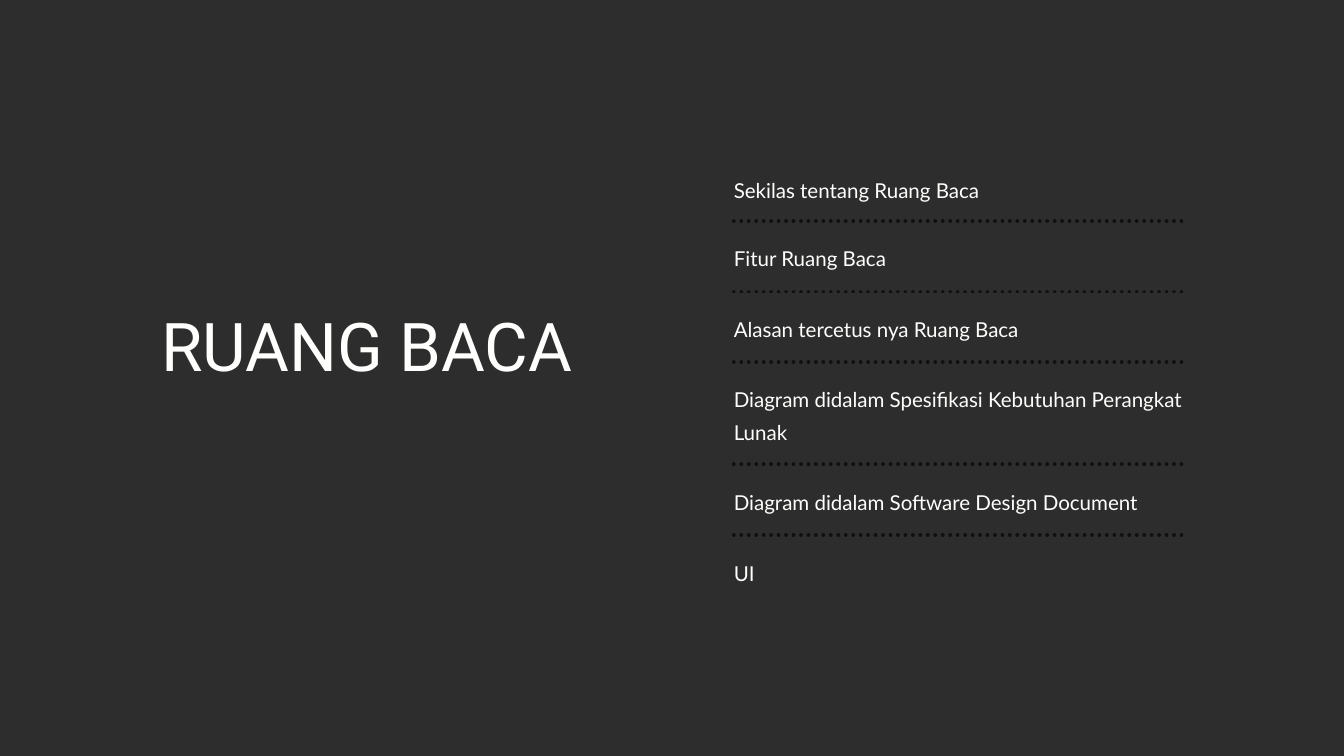
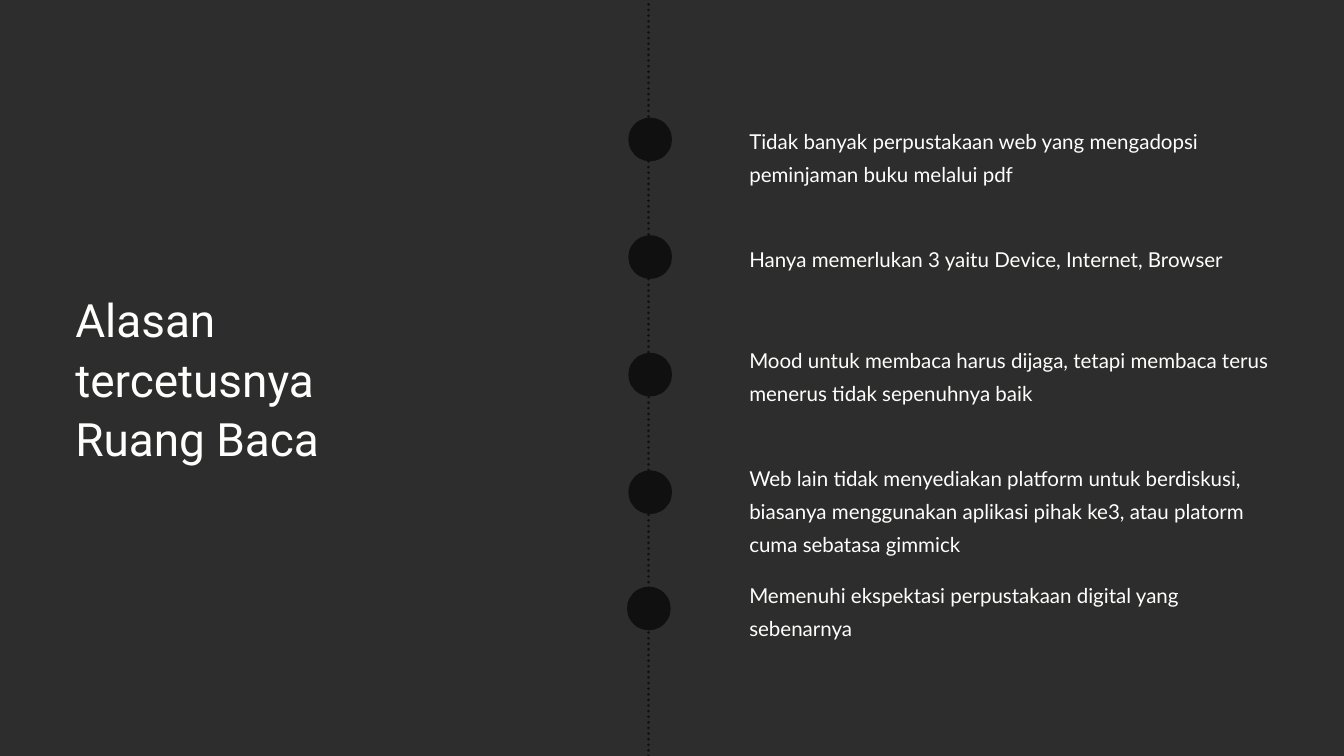
"""Build two dark slides: an agenda and a dotted timeline of reasons."""
import dataclasses

import pptx
import pptx.dml.color
import pptx.enum.dml
import pptx.enum.shapes
import pptx.enum.text
import pptx.oxml.ns
import pptx.util
from lxml import etree


@dataclasses.dataclass(frozen=True)
class Theme:
    """Colours, fonts, type sizes in points and the slide grid."""
    background: str = "2E2D2D"
    accent: str = "101010"
    text: str = "FEFFFD"
    title_font: str = "Roboto"
    body_font: str = "Lato"
    cover_size: float = 72
    title_size: float = 49.2
    body_size: float = 22
    cover_leading: float = 86.4
    title_leading: float = 64
    body_leading: float = 35.2
    width: float = 20
    height: float = 11.25
    columns: float = 20
    rows: float = 11.25


def color(value):
    """Turn a hex string into a colour."""
    return pptx.dml.color.RGBColor.from_string(value)


def write_text(frame, paragraphs, *, font, size, leading, fill, gaps=()):
    """Fill a text frame with plain left-aligned paragraphs, gaps in points between them."""
    frame.word_wrap = True
    frame.auto_size = pptx.enum.text.MSO_AUTO_SIZE.NONE
    frame.vertical_anchor = pptx.enum.text.MSO_ANCHOR.TOP
    frame.margin_left = frame.margin_right = frame.margin_top = frame.margin_bottom = 0
    for index, text in enumerate(paragraphs):
        paragraph = frame.add_paragraph() if index else frame.paragraphs[0]
        properties = paragraph._p.get_or_add_pPr()
        properties.set("marL", "0")
        properties.set("indent", "0")
        etree.SubElement(properties, pptx.oxml.ns.qn("a:buNone"))
        paragraph.alignment = pptx.enum.text.PP_ALIGN.LEFT
        paragraph.line_spacing = pptx.util.Pt(leading)
        paragraph.space_before = pptx.util.Pt(gaps[index - 1] if index and gaps else 0)
        run = paragraph.add_run()
        run.text = text
        run.font.name = font
        run.font.size = pptx.util.Pt(size)
        run.font.color.rgb = color(fill)


class Deck:
    """Holds the theme, the presentation and the slide being drawn."""

    def __init__(self, theme):
        """Open a presentation with the theme's size and background."""
        self.theme = theme
        self.slide = None
        self.presentation = pptx.Presentation()
        self.presentation.slide_width = pptx.util.Inches(theme.width)
        self.presentation.slide_height = pptx.util.Inches(theme.height)
        fill = self.presentation.slide_master.background.fill
        fill.solid()
        fill.fore_color.rgb = color(theme.background)

    def x(self, columns):
        """Convert grid columns to a length."""
        return round(self.presentation.slide_width * columns / self.theme.columns)

    def y(self, rows):
        """Convert grid rows to a length."""
        return round(self.presentation.slide_height * rows / self.theme.rows)

    def box(self, left, top, width, height):
        """Convert a grid rectangle to lengths."""
        return self.x(left), self.y(top), self.x(width), self.y(height)

    def add_slide(self, layout_name):
        """Start a slide on the named layout."""
        layout = self.presentation.slide_layouts.get_by_name(layout_name)
        self.slide = self.presentation.slides.add_slide(layout)

    def place(self, shape, area):
        """Move a shape to a grid rectangle."""
        shape.left, shape.top, shape.width, shape.height = self.box(*area)

    def title(self, text, area, size, leading):
        """Write the slide title."""
        shape = self.slide.shapes.title
        self.place(shape, area)
        write_text(shape.text_frame, [text], font=self.theme.title_font,
                   size=size, leading=leading, fill=self.theme.text)

    def write_body(self, frame, paragraphs, gaps=()):
        """Write paragraphs in the body style."""
        write_text(frame, paragraphs, font=self.theme.body_font, size=self.theme.body_size,
                   leading=self.theme.body_leading, fill=self.theme.text, gaps=gaps)

    def body(self, paragraphs, area, gaps):
        """Write a list in the body placeholder."""
        shape = self.slide.placeholders[1]
        self.place(shape, area)
        self.write_body(shape.text_frame, paragraphs, gaps)

    def note(self, text, area):
        """Add a text box in the body style."""
        self.write_body(self.slide.shapes.add_textbox(*self.box(*area)).text_frame, [text])

    def dotted_line(self, start, end, weight):
        """Draw a dotted line between two grid points."""
        connector = self.slide.shapes.add_connector(
            pptx.enum.shapes.MSO_CONNECTOR.STRAIGHT,
            self.x(start[0]), self.y(start[1]), self.x(end[0]), self.y(end[1]))
        connector.line.width = pptx.util.Pt(weight)
        connector.line.color.rgb = color(self.theme.accent)
        connector.line.dash_style = pptx.enum.dml.MSO_LINE.ROUND_DOT
        connector.line._get_or_add_ln().set("cap", "rnd")
        etree.SubElement(connector._element.spPr, pptx.oxml.ns.qn("a:effectLst"))

    def dot(self, left, top, size):
        """Draw a filled circle."""
        shape = self.slide.shapes.add_shape(
            pptx.enum.shapes.MSO_SHAPE.OVAL, *self.box(left, top, size, size))
        shape.shadow.inherit = False
        shape.fill.solid()
        shape.fill.fore_color.rgb = color(self.theme.accent)
        shape.line.fill.background()


def agenda_slide(deck):
    """Draw the agenda with a dotted rule between topics."""
    left, width, pitch, extra_line = 10.92, 6.68, 1.05, 0.47
    topics = ["Sekilas tentang Ruang Baca", "Fitur Ruang Baca", "Alasan tercetus nya Ruang Baca",
              "Diagram didalam Spesifikasi Kebutuhan Perangkat Lunak",
              "Diagram didalam Software Design Document", "UI"]
    two_line_topic = 3
    deck.add_slide("Title and Content")
    for index in range(len(topics) - 1):
        top = 3.29 + index * pitch + (extra_line if index >= two_line_topic else 0)
        deck.dotted_line((left, top), (left + width, top), 4)
    deck.body(topics, (left, 2.53, width, 6.12), gaps=[37.5, 40.4, 40.4, 39.8, 40.4])
    deck.title("RUANG BACA", (2.4, 4.53, 6.86, 1.21),
               deck.theme.cover_size, deck.theme.cover_leading)


def reasons_slide(deck):
    """Draw the timeline of reasons."""
    pitch, dot_size = 1.75, 0.65
    reasons = [
        (1.8, 2, "Tidak banyak perpustakaan web yang mengadopsi peminjaman buku melalui pdf"),
        (3.55, 1, "Hanya memerlukan 3 yaitu Device, Internet, Browser"),
        (5.06, 2, "Mood untuk membaca harus dijaga, tetapi membaca terus menerus tidak "
                  "sepenuhnya baik"),
        (6.81, 3, "Web lain tidak menyediakan platform untuk berdiskusi, biasanya menggunakan "
                  "aplikasi pihak ke3, atau platorm cuma sebatasa gimmick"),
        (8.56, 2, "Memenuhi ekspektasi perpustakaan digital yang sebenarnya"),
    ]
    deck.add_slide("Title Only")
    deck.dotted_line((9.65, deck.theme.rows), (9.65, 0), 3)
    for index, (top, lines, text) in enumerate(reasons):
        nudge = 0.02 if index == len(reasons) - 1 else 0
        deck.dot(9.35 - nudge, pitch * (index + 1) - nudge, dot_size)
        deck.note(text, (11.15, top, 7.72, lines * 0.48 - 0.02))
    deck.title("Alasan tercetusnya Ruang Baca", (1.12, 4.27, 5.38, 2.65),
               deck.theme.title_size, deck.theme.title_leading)


def main():
    """Build and save the presentation."""
    deck = Deck(Theme())
    agenda_slide(deck)
    reasons_slide(deck)
    deck.presentation.save("out.pptx")


if __name__ == "__main__":
    main()
